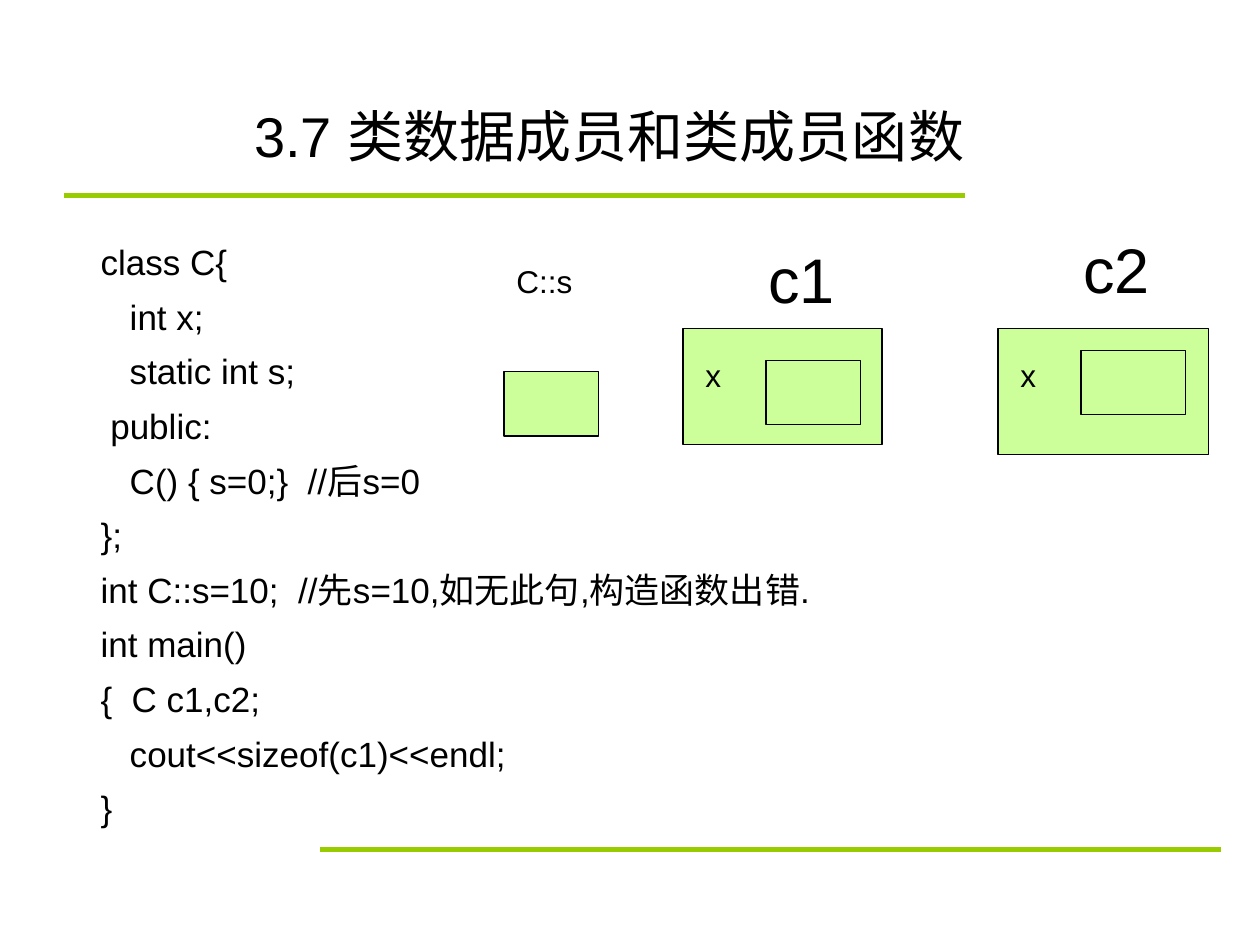
from typing import NamedTuple

from pptx import Presentation
from pptx.dml.color import RGBColor
from pptx.enum.shapes import MSO_CONNECTOR, MSO_SHAPE
from pptx.enum.text import MSO_ANCHOR
from pptx.oxml.ns import qn
from pptx.slide import Slide
from pptx.util import Inches, Pt
from lxml.etree import SubElement

BLACK = RGBColor(0x00, 0x00, 0x00)
RULE_GREEN = RGBColor(0x99, 0xCC, 0x00)
MEMORY_GREEN = RGBColor(0xCC, 0xFF, 0x99)


class Rule(NamedTuple):
    left: float
    top: float
    width: float


class Block(NamedTuple):
    left: float
    top: float
    width: float
    height: float


class Label(NamedTuple):
    lines: list[str]
    area: Block
    size: float
    space_before: float = 0
    anchor: MSO_ANCHOR = MSO_ANCHOR.TOP


CODE = [
    "class C{",
    "   int x;",
    "   static int s;",
    " public:",
    "   C() { s=0;}  //后s=0",
    "};",
    "int C::s=10;  //先s=10,如无此句,构造函数出错.",
    "int main()",
    "{  C c1,c2;",
    "   cout<<sizeof(c1)<<endl;",
    "}",
]

RULES = [Rule(0.51, 1.55, 7.15), Rule(2.54, 6.74, 7.15)]

BLOCKS = [
    Block(5.42, 2.61, 1.58, 0.92),  # object c1
    Block(6.08, 2.86, 0.75, 0.51),  # c1.x
    Block(7.92, 2.61, 1.67, 1),     # object c2
    Block(8.58, 2.78, 0.83, 0.51),  # c2.x
    Block(4, 2.95, 0.75, 0.51),     # static member C::s
]

LABELS = [
    Label(["3.7 类数据成员和类成员函数"], Block(1.92, 0.25, 6.94, 1.14), 32,
          anchor=MSO_ANCHOR.BOTTOM),
    Label(CODE, Block(0.7, 1.86, 8.48, 4.61), 20, space_before=7.2),
    Label(["c1"], Block(6, 1.86, 0.83, 0.7), 36),
    Label(["c2"], Block(8.5, 1.78, 0.83, 0.7), 36),
    Label(["x"], Block(5.5, 2.78, 0.42, 0.4), 18),
    Label(["x"], Block(8, 2.78, 0.42, 0.4), 18),
    Label(["C::s"], Block(4, 2.03, 0.92, 0.4), 18),
]


def draw_rule(slide: Slide, rule: Rule) -> None:
    connector = slide.shapes.add_connector(
        MSO_CONNECTOR.STRAIGHT, Inches(rule.left), Inches(rule.top),
        Inches(rule.left + rule.width), Inches(rule.top))
    connector.line.color.rgb = RULE_GREEN
    connector.line.width = Pt(3)
    SubElement(connector._element.spPr, qn("a:effectLst"))


def draw_block(slide: Slide, block: Block) -> None:
    shape = slide.shapes.add_shape(MSO_SHAPE.RECTANGLE, *map(Inches, block))
    shape.shadow.inherit = False
    shape.fill.solid()
    shape.fill.fore_color.rgb = MEMORY_GREEN
    shape.line.color.rgb = BLACK
    shape.line.width = Pt(0.75)


def draw_label(slide: Slide, label: Label) -> None:
    frame = slide.shapes.add_textbox(*map(Inches, label.area)).text_frame
    frame.word_wrap = True
    frame.vertical_anchor = label.anchor
    frame.text = "\n".join(label.lines)
    font_format = {"name": "Arial", "size": Pt(label.size)}
    for index, paragraph in enumerate(frame.paragraphs):
        paragraph.space_before = Pt(label.space_before if index else 0)
        for attribute, value in font_format.items():
            setattr(paragraph.runs[0].font, attribute, value)
        paragraph.runs[0].font.color.rgb = BLACK


def main() -> None:
    presentation = Presentation()
    presentation.slide_width = Inches(10)
    presentation.slide_height = Inches(7.5)
    slide = presentation.slides.add_slide(presentation.slide_layouts[6])

    # Green rules above and below the content
    for rule in RULES:
        draw_rule(slide, rule)

    # Memory layout of the objects and the static member
    for block in BLOCKS:
        draw_block(slide, block)

    # Title, code listing and names in the diagram
    for label in LABELS:
        draw_label(slide, label)

    presentation.save("out.pptx")


if __name__ == "__main__":
    main()
